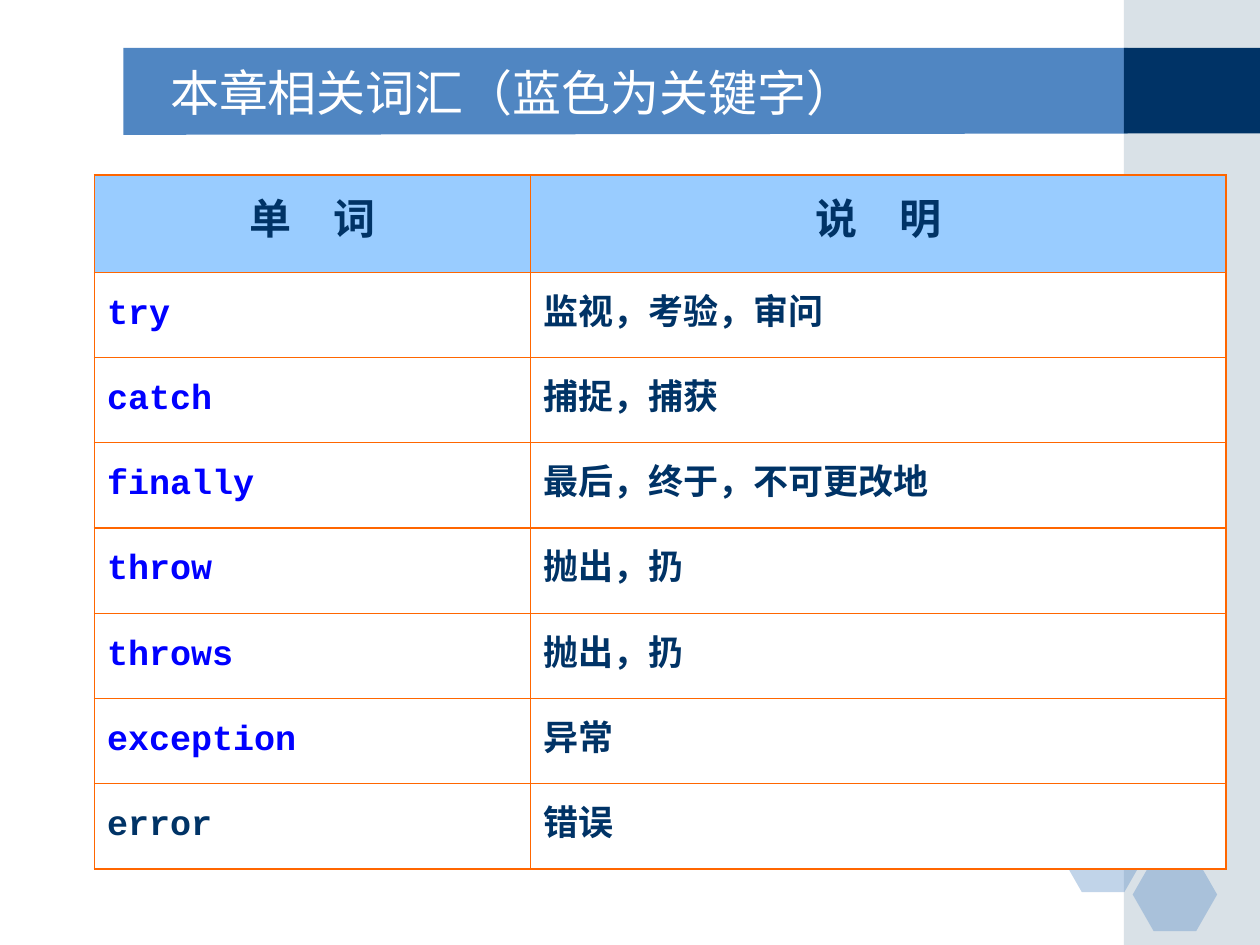
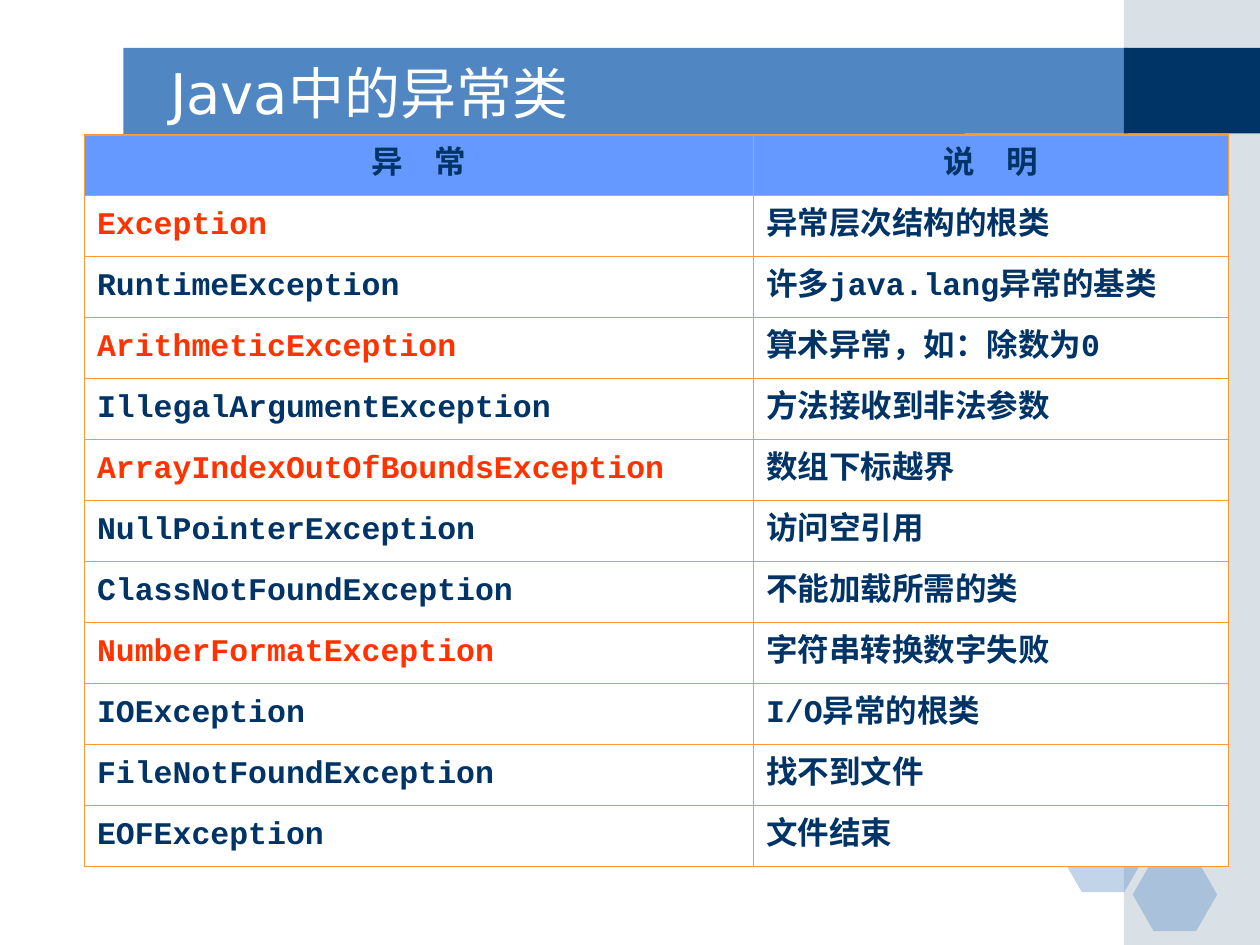
from dataclasses import dataclass

from lxml import etree
from pptx import Presentation
from pptx import util as u
from pptx.dml.color import RGBColor
from pptx.enum import lang, shapes, text
from pptx.oxml.ns import qn

NAVY, BLUE, MIST, WHITE = "003366", "5086C2", "A0B5C4", "FFFFFF"
KEYWORD, COMMON = "0000FF", "FF3300"
TITLE_FONT, TABLE_FONT = "DejaVu Sans", "Courier New"
OUTER_BORDER = 1.08


@dataclass
class Block:
    kind: shapes.MSO_SHAPE
    box: tuple[float, float, float, float]
    color: str
    opacity: int = 100


@dataclass
class Glossary:
    title: str
    title_size: float
    box: tuple[float, float, float, float]
    first_col: float
    header_height: float
    header: tuple[str, str]
    header_size: float
    header_space: float
    header_fill: str
    size: float
    space: float
    border: str
    inner_border: float
    accent: str
    accented: set[str]
    rows: list[tuple[str, str]]


BLOCKS = [
    Block(shapes.MSO_SHAPE.RECTANGLE, (8.92, 0, 1.08, 7.5), MIST, 40),
    Block(shapes.MSO_SHAPE.RECTANGLE, (8.92, 0.38, 1.08, 0.68), NAVY),
] + [
    Block(shapes.MSO_SHAPE.HEXAGON, (x, y, 0.67, 0.58), BLUE, 35)
    for x, y in [(8.42, 6.5), (9, 6.17), (8.99, 6.81)]
]

GLOSSARIES = [
    Glossary(
        title="本章相关词汇（蓝色为关键字）", title_size=28,
        box=(0.75, 1.39, 8.98, 5.51), first_col=3.46, header_height=0.77,
        header=("单　词", "说　明"), header_size=24, header_space=6, header_fill="99CCFF",
        size=20, space=5, border="FF6600", inner_border=0.75,
        accent=KEYWORD,
        accented={"try", "catch", "finally", "throw", "throws", "exception"},
        rows=[
            ("try", "监视，考验，审问"),
            ("catch", "捕捉，捕获"),
            ("finally", "最后，终于，不可更改地"),
            ("throw", "抛出，扔"),
            ("throws", "抛出，扔"),
            ("exception", "异常"),
            ("error", "错误"),
        ],
    ),
    Glossary(
        title="Java中的异常类", title_size=32,
        box=(0.67, 1.07, 9.08, 5.81), first_col=5.31, header_height=0.48,
        header=("异　常", "说　明"), header_size=18, header_space=4.5, header_fill="6699FF",
        size=18, space=4.5, border="FF9933", inner_border=0.45,
        accent=COMMON,
        accented={"Exception", "ArithmeticException", "ArrayIndexOutOfBoundsException",
                  "NumberFormatException"},
        rows=[
            ("Exception", "异常层次结构的根类"),
            ("RuntimeException", "许多java.lang异常的基类"),
            ("ArithmeticException", "算术异常，如：除数为0"),
            ("IllegalArgumentException", "方法接收到非法参数"),
            ("ArrayIndexOutOfBoundsException", "数组下标越界"),
            ("NullPointerException", "访问空引用"),
            ("ClassNotFoundException", "不能加载所需的类"),
            ("NumberFormatException", "字符串转换数字失败"),
            ("IOException", "I/O异常的根类"),
            ("FileNotFoundException", "找不到文件"),
            ("EOFException", "文件结束"),
        ],
    ),
]


def paint(fill, color: str) -> None:
    fill.solid()
    fill.fore_color.rgb = RGBColor.from_string(color)


def write(tf, content: str, *, size: float, color: str, font: str, bold: bool = False,
          align=text.PP_ALIGN.LEFT, space: float = 0) -> None:
    p = tf.paragraphs[0]
    p.alignment = align
    p.space_before = u.Pt(space)
    r = p.add_run()
    r.text = content
    r.font.size = u.Pt(size)
    r.font.bold = bold
    r.font.name = font
    r.font.language_id = lang.MSO_LANGUAGE_ID.SIMPLIFIED_CHINESE
    paint(r.font.fill, color)
    etree.SubElement(r._r.get_or_add_rPr(), qn("a:ea"), typeface=font)


def finish(sp, color: str, opacity: int = 100) -> None:
    sp.shadow.inherit = False
    paint(sp.fill, color)
    if opacity < 100:
        clr = next(sp.element.iter(qn("a:srgbClr")))
        etree.SubElement(clr, qn("a:alpha"), val=str(opacity * 1000))
    sp.line.fill.background()


def draw_backdrop(s) -> list:
    fb = s.shapes.build_freeform(u.Inches(0.98), u.Inches(0.38))
    corners = [(8.95, 0.38), (8.95, 1.06), (0.98, 1.07)]
    fb.add_line_segments([(u.Inches(x), u.Inches(y)) for x, y in corners], close=True)
    band = fb.convert_to_shape()
    finish(band, BLUE)
    drawn = [band]
    for block in BLOCKS:
        sp = s.shapes.add_shape(block.kind, *map(u.Inches, block.box))
        if block.kind == shapes.MSO_SHAPE.HEXAGON:
            sp.adjustments[0] = 0.286
        finish(sp, block.color, block.opacity)
        drawn.append(sp)
    return drawn


def share_backdrop(s, layout) -> None:
    tree = layout.shapes.element
    for ph in list(layout.placeholders):
        if ph.placeholder_format.idx != 0:
            tree.remove(ph.element)
    for sp in draw_backdrop(s):
        tree.append(sp.element)


def draw_title(s, g: Glossary) -> None:
    sp = s.shapes.title
    sp.left, sp.top, sp.width, sp.height = map(u.Inches, (1.25, 0.42, 7.33, 0.62))
    tf = sp.text_frame
    tf.word_wrap = True
    tf.auto_size = text.MSO_AUTO_SIZE.NONE
    tf.vertical_anchor = text.MSO_ANCHOR.MIDDLE
    write(tf, g.title, size=g.title_size, color=WHITE, font=TITLE_FONT)


def set_borders(cell, color: str, widths: dict[str, float]) -> None:
    tc_pr = cell._tc.get_or_add_tcPr()
    for side, width in widths.items():
        ln = etree.SubElement(tc_pr, qn(f"a:ln{side}"), w=str(u.Pt(width)))
        solid = etree.SubElement(ln, qn("a:solidFill"))
        etree.SubElement(solid, qn("a:srgbClr"), val=color)


def draw_table(s, g: Glossary) -> None:
    records = [g.header, *g.rows]
    last = len(g.rows)
    width, height = g.box[2:]
    table = s.shapes.add_table(len(records), 2, *map(u.Inches, g.box)).table
    table.first_row = table.horz_banding = False
    for col, w in zip(table.columns, (g.first_col, width - g.first_col)):
        col.width = u.Inches(w)
    for i, record in enumerate(records):
        is_header = i == 0
        table.rows[i].height = u.Inches(
            g.header_height if is_header else (height - g.header_height) / last)
        for j, content in enumerate(record):
            cell = table.cell(i, j)
            outer = {"L": j == 0, "R": j == 1, "T": is_header, "B": i == last}
            set_borders(cell, g.border, {
                side: OUTER_BORDER if edge else g.inner_border for side, edge in outer.items()})
            paint(cell.fill, g.header_fill if is_header else WHITE)
            cell.vertical_anchor = text.MSO_ANCHOR.MIDDLE
            write(cell.text_frame, content, bold=True, font=TABLE_FONT,
                  size=g.header_size if is_header else g.size,
                  space=g.header_space if is_header else g.space,
                  color=g.accent if content in g.accented else NAVY,
                  align=text.PP_ALIGN.CENTER if is_header else text.PP_ALIGN.LEFT)


def main() -> None:
    prs = Presentation()
    prs.slide_width, prs.slide_height = u.Inches(10), u.Inches(7.5)
    layout = prs.slide_layouts[5]
    for i, g in enumerate(GLOSSARIES):
        s = prs.slides.add_slide(layout)
        if i == 0:
            share_backdrop(s, layout)
        draw_title(s, g)
        draw_table(s, g)
    prs.save("out.pptx")


if __name__ == "__main__":
    main()
